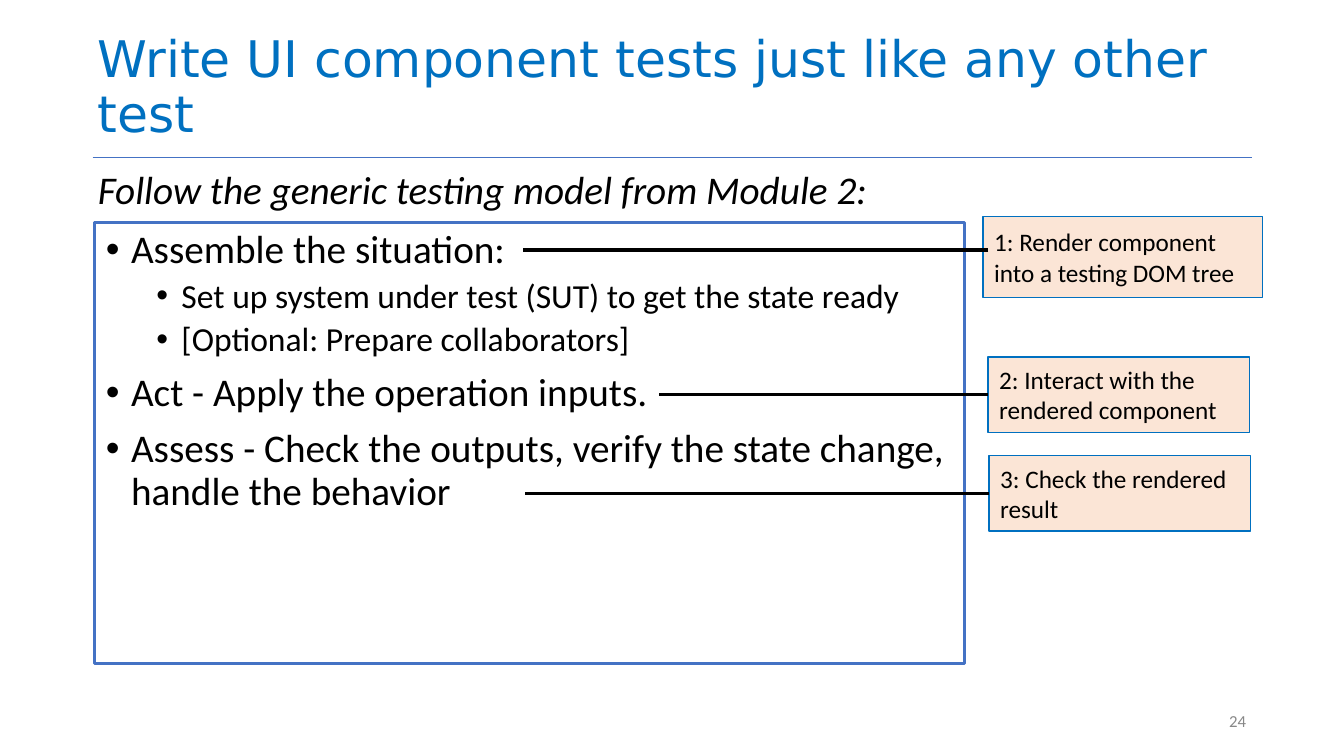
import pptx
import pptx.dml.color
import pptx.enum.shapes
import pptx.enum.text
import pptx.oxml
import pptx.oxml.ns
import pptx.util
from dataclasses import dataclass

# Content
TITLE = "Write UI component tests just like any other test"
INTRO = "Follow the generic testing model from Module 2:"
STEPS = [  # level, text
    (0, "Assemble the situation:"),
    (1, "Set up system under test (SUT) to get the state ready"),
    (1, "[Optional: Prepare collaborators]"),
    (0, "Act - Apply the operation inputs."),
    (0, "Assess - Check the outputs, verify the state change, handle the behavior"),
]
CALLOUTS = [  # text, box, start of its line, end of an unattached line
    ("1: Render component into a testing DOM tree", (9.75, 2.15, 2.77, 0.8), 5.19, (9.8, 2.48)),
    ("2: Interact with the rendered component", (9.8, 3.54, 2.59, 0.75), 6.54, None),
    ("3: Check the rendered result", (9.81, 4.52, 2.59, 0.75), 5.21, None),
]
PAGE_NUMBER = "24"


@dataclass(frozen=True)
class Theme:
    accent: str = "0070C0"
    frame: str = "4472C4"
    callout: str = "FBE5D6"
    ink: str = "000000"
    muted: str = "888888"
    title_font: str = "DejaVu Sans"
    body_font: str = "Calibri"
    title_size: int = 36
    level_sizes: tuple = (28, 24)
    callout_size: int = 18
    number_size: int = 12


THEME = Theme()
LEVEL_INDENTS = (0.25, 0.75)
LEVEL_SPACING = (10, 5)
HANGING = -0.25
Inches, Pt = pptx.util.Inches, pptx.util.Pt
ANCHOR, ALIGN = pptx.enum.text.MSO_ANCHOR, pptx.enum.text.PP_ALIGN


def color(value):
    return pptx.dml.color.RGBColor.from_string(value)


def apply(target, values):
    for name, value in values.items():
        setattr(target, name, value)


def place(shape, box):
    names = ("left", "top", "width", "height")
    apply(shape, dict(zip(names, map(Inches, box))))


def format_frame(shape, anchor=ANCHOR.TOP, side=0.05, wrap=True):
    apply(shape.text_frame, {
        "word_wrap": wrap, "auto_size": pptx.enum.text.MSO_AUTO_SIZE.NONE,
        "vertical_anchor": anchor,
        "margin_left": Inches(side), "margin_right": Inches(side),
        "margin_top": Inches(0.05), "margin_bottom": Inches(0.05)})


def write(paragraph, text, size, ink=THEME.ink, font=THEME.body_font, italic=False, **layout):
    run = paragraph.add_run()
    run.text = text
    apply(run.font, {"size": Pt(size), "name": font, "italic": italic, "bold": False})
    run.font.color.rgb = color(ink)
    apply(paragraph, {"alignment": ALIGN.LEFT, "space_before": Pt(0),
                      "space_after": Pt(0), **layout})


def set_bullet(paragraph, left, hanging, character=None):
    properties = paragraph._p.get_or_add_pPr()
    properties.set("marL", str(Inches(left)))
    properties.set("indent", str(Inches(hanging)))
    namespace = pptx.oxml.ns.nsdecls("a")
    if character:
        marks = ['<a:buFont %s typeface="Arial"/>' % namespace,
                 '<a:buChar %s char="%s"/>' % (namespace, character)]
    else:
        marks = ["<a:buNone %s/>" % namespace]
    for mark in marks:
        properties.append(pptx.oxml.parse_xml(mark))


def add_rectangle(slide, box, line, width, fill=None):
    shape = slide.shapes.add_shape(
        pptx.enum.shapes.MSO_SHAPE.RECTANGLE, *map(Inches, box))
    shape.shadow.inherit = False
    if fill:
        shape.fill.solid()
        shape.fill.fore_color.rgb = color(fill)
    else:
        shape.fill.background()
    shape.line.color.rgb = color(line)
    shape.line.width = Pt(width)
    return shape


def add_line(slide, start, end, ink, width):
    connector = slide.shapes.add_connector(
        pptx.enum.shapes.MSO_CONNECTOR.STRAIGHT, *map(Inches, start + end))
    connector.line.color.rgb = color(ink)
    connector.line.width = Pt(width)
    connector._element.spPr.append(pptx.oxml.parse_xml(
        "<a:effectLst %s/>" % pptx.oxml.ns.nsdecls("a")))
    return connector


def main():
    presentation = pptx.Presentation()
    apply(presentation, {"slide_width": Inches(13.33), "slide_height": Inches(7.5)})
    slide = presentation.slides.add_slide(presentation.slide_layouts[3])
    title, intro, steps = slide.placeholders

    # Title and divider
    place(title, (0.92, 0.02, 11.5, 1.45))
    format_frame(title, ANCHOR.BOTTOM)
    write(title.text_frame.paragraphs[0], TITLE, THEME.title_size, THEME.accent,
          THEME.title_font, line_spacing=0.9)
    add_line(slide, (0.92, 1.56), (12.42, 1.56), THEME.frame, 0.5)

    # Introduction
    place(intro, (0.92, 1.64, 8.63, 0.58))
    format_frame(intro)
    paragraph = intro.text_frame.paragraphs[0]
    write(paragraph, INTRO, THEME.level_sizes[0], italic=True,
          line_spacing=0.9, space_before=Pt(LEVEL_SPACING[0]))
    set_bullet(paragraph, 0, 0)

    # Framed list of steps
    add_rectangle(slide, (0.94, 2.21, 8.63, 4.37), THEME.frame, 2.25)
    place(steps, (1, 2.23, 8.49, 4.34))
    format_frame(steps)
    for index, (level, text) in enumerate(STEPS):
        frame = steps.text_frame
        paragraph = frame.add_paragraph() if index else frame.paragraphs[0]
        write(paragraph, text, THEME.level_sizes[level], level=level,
              line_spacing=0.9, space_before=Pt(LEVEL_SPACING[level]))
        set_bullet(paragraph, LEVEL_INDENTS[level], HANGING, "•")

    # Callouts and their lines
    for text, box, line_start, loose_end in CALLOUTS:
        callout = add_rectangle(slide, box, THEME.accent, 1, THEME.callout)
        format_frame(callout, ANCHOR.MIDDLE, side=0.11)
        write(callout.text_frame.paragraphs[0], text, THEME.callout_size)
        left, top, width, height = box
        end = loose_end or (left, top + height / 2)
        connector = add_line(slide, end, (line_start, end[1]), THEME.ink, 2.25)
        if not loose_end:
            connector.begin_connect(callout, 1)

    # Page number
    number = slide.shapes.add_textbox(*map(Inches, (12.13, 7.02, 0.28, 0.27)))
    format_frame(number, ANCHOR.MIDDLE, wrap=False)
    write(number.text_frame.paragraphs[0], PAGE_NUMBER, THEME.number_size,
          THEME.muted, alignment=ALIGN.RIGHT)

    presentation.save("out.pptx")


if __name__ == "__main__":
    main()
